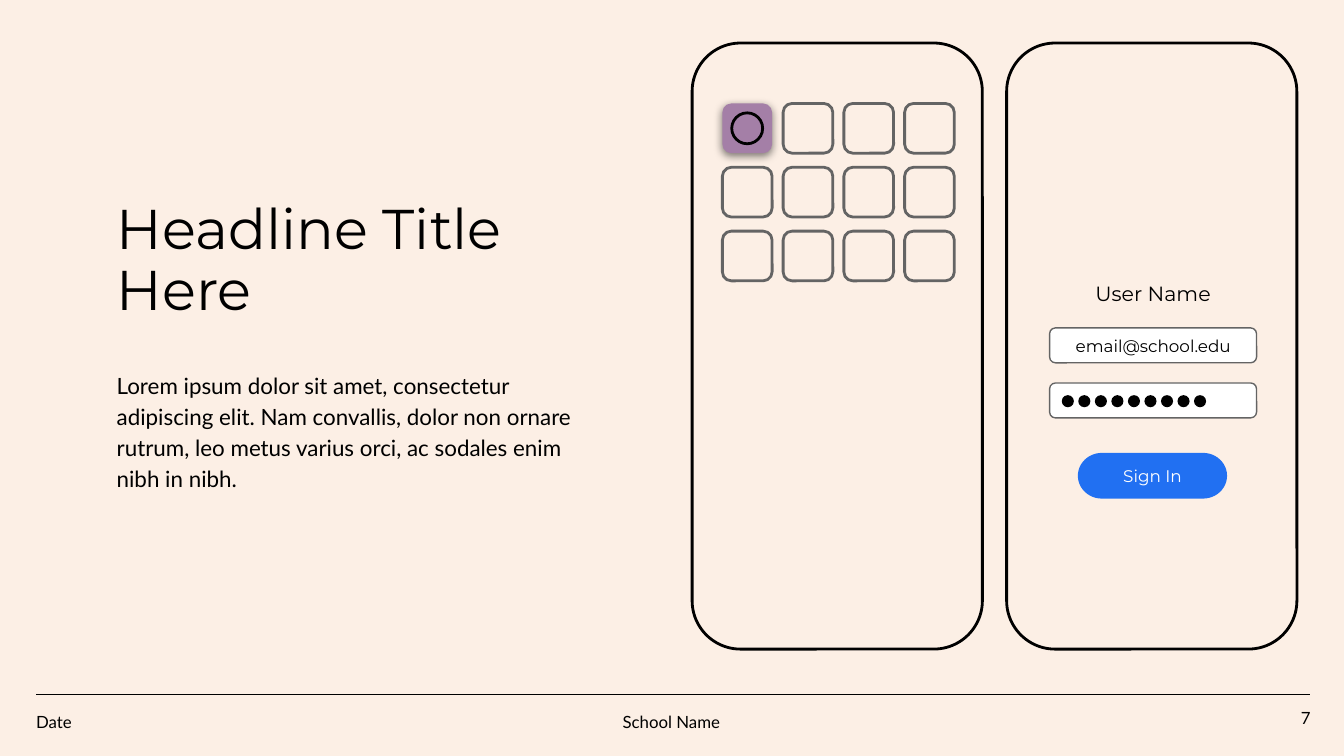
from lxml import etree
from pptx import Presentation
from pptx.dml.color import RGBColor
from pptx.enum.shapes import MSO_CONNECTOR, MSO_SHAPE
from pptx.enum.text import MSO_ANCHOR, MSO_AUTO_SIZE, PP_ALIGN
from pptx.oxml import parse_xml
from pptx.oxml.ns import nsdecls, qn
from pptx.util import Inches, Pt

ROUNDED = MSO_SHAPE.ROUNDED_RECTANGLE
OVAL = MSO_SHAPE.OVAL
CONNECTOR_DOT = MSO_SHAPE.FLOWCHART_CONNECTOR
TERMINATOR = MSO_SHAPE.FLOWCHART_TERMINATOR
STRAIGHT = MSO_CONNECTOR.STRAIGHT
TOP, MIDDLE, BOTTOM = MSO_ANCHOR.TOP, MSO_ANCHOR.MIDDLE, MSO_ANCHOR.BOTTOM
LEFT, CENTER, RIGHT = PP_ALIGN.LEFT, PP_ALIGN.CENTER, PP_ALIGN.RIGHT
NO_AUTOFIT = MSO_AUTO_SIZE.NONE

THEME = {
    "paper": RGBColor.from_string("FCEFE5"),
    "ink": RGBColor.from_string("000000"),
    "white": RGBColor.from_string("FFFFFF"),
    "grey": RGBColor.from_string("646464"),
    "purple": RGBColor.from_string("A47FA7"),
    "blue": RGBColor.from_string("2170F2"),
    "heading_font": "Montserrat",
    "body_font": "Lato",
    "title": Pt(30),
    "body": Pt(12),
    "label": Pt(11),
    "small": Pt(9),
    "thick": Pt(1.5),
    "thin": Pt(0.75),
}

CELL = Inches(0.1)

deck = Presentation()
deck.slide_width, deck.slide_height = 100 * CELL, int(56.25 * CELL)
page = deck.slides.add_slide(deck.slide_layouts[5])
page.background.fill.solid()
page.background.fill.fore_color.rgb = THEME["paper"]


def draw(shapes, kind, area, fill=None, line=None, width="thick", corner=None):
    shape = shapes.add_shape(kind, *[int(part * CELL) for part in area])
    shape.shadow.inherit = False
    if fill:
        shape.fill.solid()
        shape.fill.fore_color.rgb = THEME[fill]
    else:
        shape.fill.background()
    if line:
        shape.line.color.rgb = THEME[line]
        shape.line.width = THEME[width]
    else:
        shape.line.fill.background()
    if corner:
        shape.adjustments[0] = corner
    return shape


def write(box, text, size, font, color="ink", align=LEFT, anchor=TOP, spacing=1.0, after=0):
    frame = box.text_frame
    frame.text = text
    para = frame.paragraphs[0]
    formats = (
        (frame, {"word_wrap": True, "auto_size": NO_AUTOFIT, "vertical_anchor": anchor,
                 "margin_left": CELL, "margin_right": CELL,
                 "margin_top": CELL, "margin_bottom": CELL}),
        (para, {"alignment": align, "line_spacing": spacing,
                "space_before": Pt(0), "space_after": Pt(after)}),
        (para.runs[0].font, {"name": THEME[font], "size": THEME[size]}),
        (para.runs[0].font.color, {"rgb": THEME[color]}),
    )
    for target, values in formats:
        for name, value in values.items():
            setattr(target, name, value)


title = page.shapes.title
for name, value in {"left": 7.7, "top": 15, "width": 36, "height": 10}.items():
    setattr(title, name, int(value * CELL))
write(title, "Headline Title Here", "title", "heading_font", anchor=BOTTOM, spacing=0.9)

rule = page.shapes.add_connector(
    STRAIGHT, *[int(part * CELL) for part in (2.7, 51.7, 97.5, 51.7)])
rule.line.color.rgb = THEME["ink"]
rule.line.width = THEME["thin"]
etree.SubElement(rule._element.spPr, qn("a:effectLst"))

body_format = {"font": "body_font", "spacing": 1.15, "after": 12}
lorem = ("Lorem ipsum dolor sit amet, consectetur adipiscing elit. Nam convallis, "
         "dolor non ornare rutrum, leo metus varius orci, ac sodales enim nibh in nibh.")
texts = (
    ((7.7, 26.4, 36, 12.4), lorem, {"size": "body", **body_format}),
    ((1.7, 51.7, 16.3, 3.4), "Date", {"size": "small", **body_format}),
    ((41.8, 51.7, 16.3, 3.4), "School Name", {"size": "small", "align": CENTER, **body_format}),
    ((92.5, 51.7, 6, 3.4), "7",
     {"size": "small", "font": "body_font", "align": RIGHT, "anchor": MIDDLE}),
    ((78.1, 19.9, 15.4, 3.7), "User Name",
     {"size": "label", "font": "heading_font", "align": CENTER}),
)
for area, text, format_values in texts:
    box = page.shapes.add_textbox(*[int(part * CELL) for part in area])
    write(box, text, **format_values)

for phone_left in (51.5, 74.9):
    draw(page.shapes, ROUNDED, (phone_left, 3.2, 21.6, 45.1), line="ink", corner=0.167)

icon_size = 3.7
icon_left, icon_top = 53.75, 7.7
app = draw(page.shapes, ROUNDED, (icon_left, icon_top, icon_size, icon_size),
           fill="purple", corner=0.18)
app._element.spPr.find(qn("a:effectLst")).append(parse_xml(
    f'<a:outerShdw {nsdecls("a")} blurRad="{Pt(4.5)}" dist="{Pt(1.5)}" dir="5400000" '
    'algn="bl" rotWithShape="0"><a:srgbClr val="000000"><a:alpha val="50000"/>'
    '</a:srgbClr></a:outerShdw>'))
draw(page.shapes, CONNECTOR_DOT, (54.45, 8.4, 2.3, 2.3), line="ink")

icons = page.shapes.add_group_shape()
for row in range(3):
    for column in range(4):
        if row or column:
            area = (icon_left + column * 4.52, icon_top + row * 4.75, icon_size, icon_size)
            draw(icons.shapes, ROUNDED, area, line="grey", corner=0.18)

email, password = [
    draw(page.shapes, ROUNDED, (78.1, field_top, 15.4, 2.6), "white", "grey", "thin", 0.167)
    for field_top in (24.4, 28.5)]
write(email, "email@school.edu", "small", "heading_font", align=CENTER, anchor=MIDDLE)
for dot in range(9):
    draw(page.shapes, OVAL, (79 + dot * 1.23, 29.4, 0.9, 0.9), fill="ink")

button = draw(page.shapes, TERMINATOR, (80.2, 33.7, 11.1, 3.4), fill="blue")
write(button, "Sign In", "small", "heading_font", "white", CENTER, MIDDLE)

deck.save("out.pptx")
